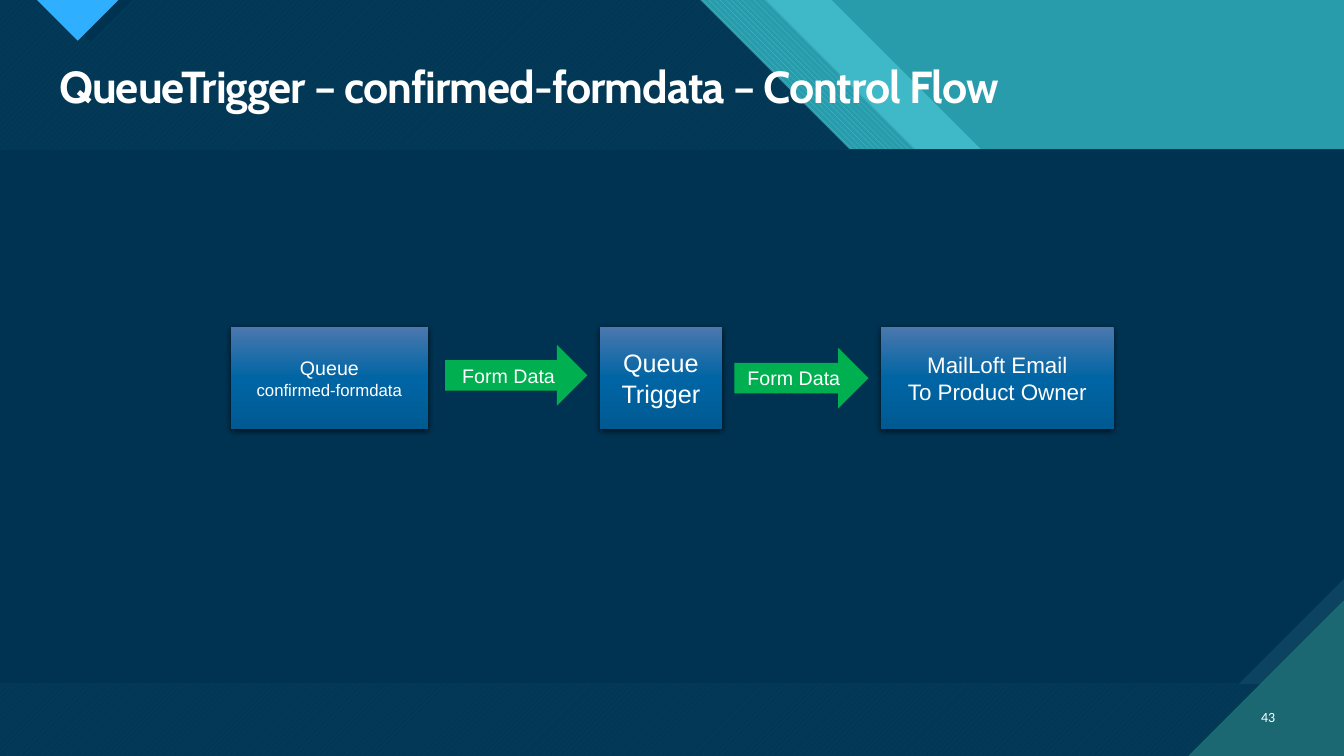
from lxml import etree
from pptx import Presentation
from pptx.dml.color import RGBColor
from pptx.enum import dml, shapes, text
from pptx.oxml import parse_xml
from pptx.oxml.ns import qn
from pptx.util import Pt

WIDE, HIGH = 960, 540
NAVY = RGBColor(0x00, 0x33, 0x52)
SLATE = RGBColor(0x0C, 0x43, 0x60)
TEAL = RGBColor(0x29, 0x9C, 0xAB)
AQUA = RGBColor(0x47, 0xC3, 0xD3)
PINE = RGBColor(0x1B, 0x68, 0x72)
SKY = RGBColor(0x2F, 0xAF, 0xFF)
GREEN = RGBColor(0x00, 0xB0, 0x50)
WHITE = RGBColor(0xFF, 0xFF, 0xFF)
STEEL = RGBColor(0x4B, 0x78, 0xAE)
BLUE = RGBColor(0x00, 0x65, 0xA4)
DEEP = RGBColor(0x00, 0x5A, 0x92)

NS = 'xmlns:a="http://schemas.openxmlformats.org/drawingml/2006/main"'
HATCH = dml.MSO_PATTERN
KIND = shapes.MSO_SHAPE


def paint(shape, color, back=None, hatch=None, alpha=None):
    """Fill a shape flat, hatched over a back colour, or see-through."""
    shape.shadow.inherit = False
    shape.line.fill.background()
    if hatch:
        shape.fill.patterned()
        shape.fill.pattern = hatch
        shape.fill.fore_color.rgb = color
        shape.fill.back_color.rgb = back
        return
    shape.fill.solid()
    shape.fill.fore_color.rgb = color
    if alpha:
        tone = shape._element.spPr.find(qn("a:solidFill"))[0]
        etree.SubElement(tone, qn("a:alpha")).set("val", str(alpha * 1000))


def shade(shape):
    """Give a shape the vertical blue blend and a soft shadow below it."""
    paint(shape, BLUE)
    props = shape._element.spPr
    stops = "".join(f'<a:gs pos="{pos}000"><a:srgbClr val="{color}"/></a:gs>'
                    for pos, color in ((0, STEEL), (50, BLUE), (100, DEEP)))
    blend = parse_xml(f'<a:gradFill {NS} rotWithShape="1"><a:gsLst>{stops}</a:gsLst>'
                      '<a:lin ang="5400000" scaled="0"/></a:gradFill>')
    props.replace(props.find(qn("a:solidFill")), blend)
    glow = parse_xml(f'<a:outerShdw {NS} blurRad="{Pt(4.5)}" dist="{Pt(1.5)}" '
                     'dir="5400000" rotWithShape="0"><a:srgbClr val="000000">'
                     '<a:alpha val="63000"/></a:srgbClr></a:outerShdw>')
    props.find(qn("a:effectLst")).append(glow)


def place(slide, kind, box):
    return slide.shapes.add_shape(kind, *map(Pt, box))


def trace(slide, points, color, **style):
    points = [(Pt(x), Pt(y)) for x, y in points]
    pen = slide.shapes.build_freeform(*points[0])
    pen.add_line_segments(points[1:], close=True)
    paint(pen.convert_to_shape(), color, **style)


def write(shape, lines, font="Arial", align=text.PP_ALIGN.CENTER,
          anchor=text.MSO_ANCHOR.MIDDLE, bold=False, space=None, track=None):
    """Set (words, size) lines as paragraphs in one format."""
    frame = shape.text_frame
    frame.word_wrap = True
    frame.vertical_anchor = anchor
    for i, (words, size) in enumerate(lines):
        para = frame.add_paragraph() if i else frame.paragraphs[0]
        para.alignment = align
        if space:
            para.line_spacing = space
        run = para.add_run()
        run.text = words
        run.font.name, run.font.size, run.font.bold = font, Pt(size), bold
        run.font.color.rgb = WHITE
        if track:
            run._r.get_or_add_rPr().set("spc", str(track))


def backdrop(slide, box):
    left, top, wide, high = box
    right, base = left + wide, top + high
    paint(place(slide, KIND.RECTANGLE, box), TEAL)

    drop = 214
    layers = ((594, AQUA, dict(alpha=74)),
              (547, AQUA, dict(back=TEAL, hatch=HATCH.WIDE_DOWNWARD_DIAGONAL)),
              (500, AQUA, dict(back=PINE, hatch=HATCH.WIDE_UPWARD_DIAGONAL)),
              (500, NAVY, dict(alpha=90)))
    for edge, color, style in layers:
        trace(slide, [(left, top), (left + edge, top),
                      (left + edge + drop, top + drop), (right, top + drop),
                      (right, base), (left, base)], color, **style)

    for tip, half, color, style in (
            (64.5, 29.7, NAVY, {}),
            (55.5, 29, SKY, dict(back=PINE, hatch=HATCH.DARK_HORIZONTAL))):
        trace(slide, [(left + tip - half, top), (left + tip + half, top),
                      (left + tip, top + half)], color, **style)

    panel(slide, (left, top + 106.7, wide, 381.6))
    fold = 111
    trace(slide, [(right - fold, base), (right, base), (right, base - fold)],
          PINE, back=AQUA, hatch=HATCH.DARK_HORIZONTAL)


def panel(slide, box):
    left, top, wide, high = box
    right, base, snip = left + wide, top + high, 75.2
    paint(place(slide, KIND.RECTANGLE, box), SLATE, back=PINE,
          hatch=HATCH.DARK_VERTICAL)
    trace(slide, [(left, top), (right, top), (right, base - snip),
                  (right - snip, base), (left, base)], NAVY)


def header(slide, box):
    title = slide.shapes.add_textbox(*map(Pt, box))
    write(title, [("QueueTrigger – confirmed-formdata – Control Flow", 32)],
          font="Cabin", align=text.PP_ALIGN.LEFT, anchor=text.MSO_ANCHOR.TOP,
          bold=True, space=0.9, track=-70)


def footer(slide, box):
    number = slide.shapes.add_textbox(*map(Pt, box))
    write(number, [("43", 10)], font="Calibri", align=text.PP_ALIGN.RIGHT)


def flow(slide, box):
    left, top, _, high = box
    steps = ((0, 140.6, [("Queue", 14), ("confirmed-formdata", 12)]),
             (263.6, 87, [("Queue Trigger", 18)]),
             (464.4, 166, [("MailLoft Email", 16), ("To Product Owner", 16)]))
    for start, wide, lines in steps:
        step = place(slide, KIND.FLOWCHART_PROCESS, (left + start, top, wide, high))
        shade(step)
        write(step, lines)

    for start, down, wide in ((153, 13, 101.6), (359.6, 15, 95.8)):
        arrow = place(slide, KIND.RIGHT_ARROW, (left + start, top + down, wide, 43.4))
        paint(arrow, GREEN)
        write(arrow, [("Form Data", 14)])


def main():
    deck = Presentation()
    deck.slide_width, deck.slide_height = Pt(WIDE), Pt(HIGH)
    slide = deck.slides.add_slide(deck.slide_layouts[6])
    backdrop(slide, (0, 0, WIDE, HIGH))
    header(slide, (35.3, 42.5, 882.7, 42.5))
    footer(slide, (886.3, 497.5, 31.7, 28.8))
    flow(slide, (165, 233.4, 630.4, 73.2))
    deck.save("out.pptx")


if __name__ == "__main__":
    main()
